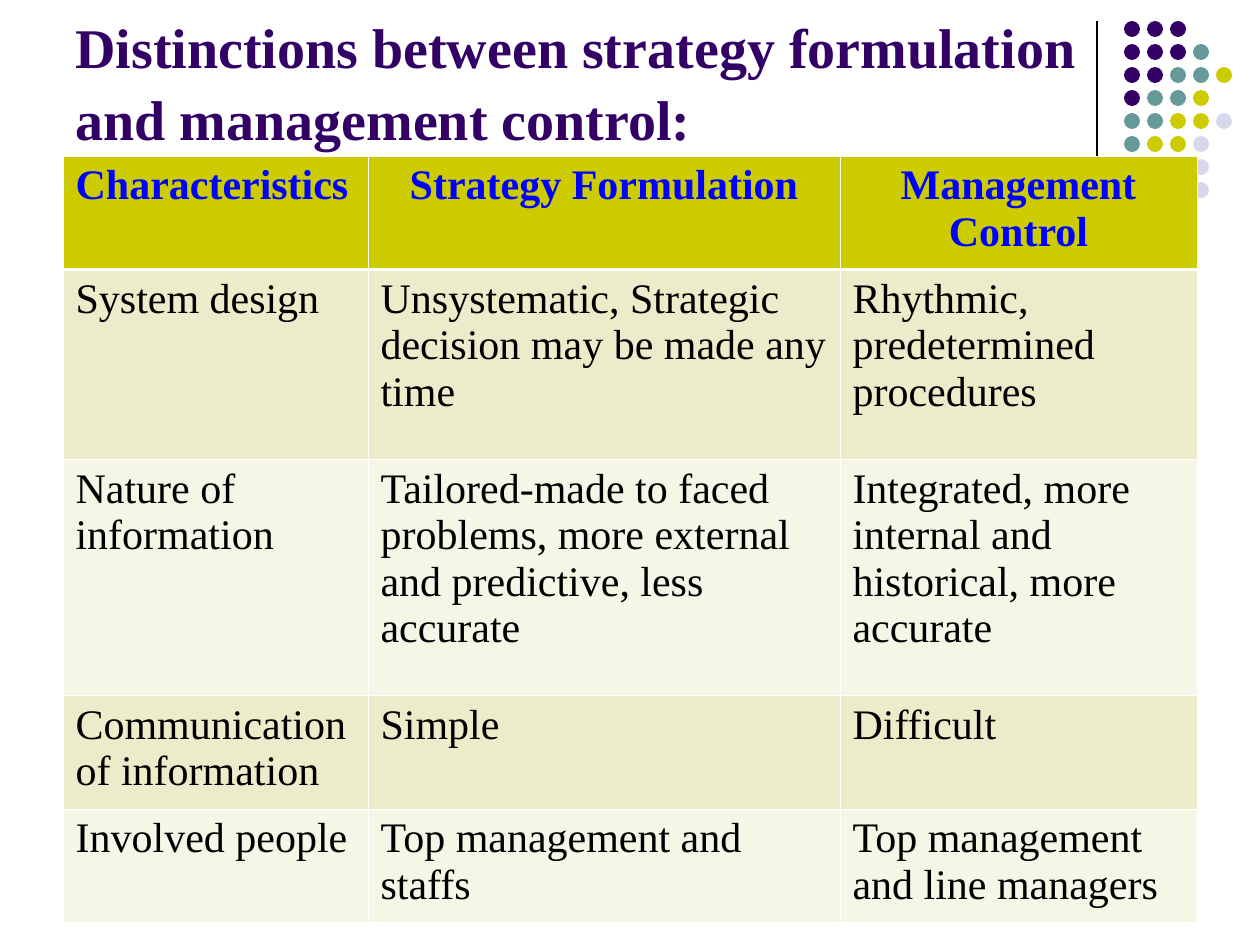
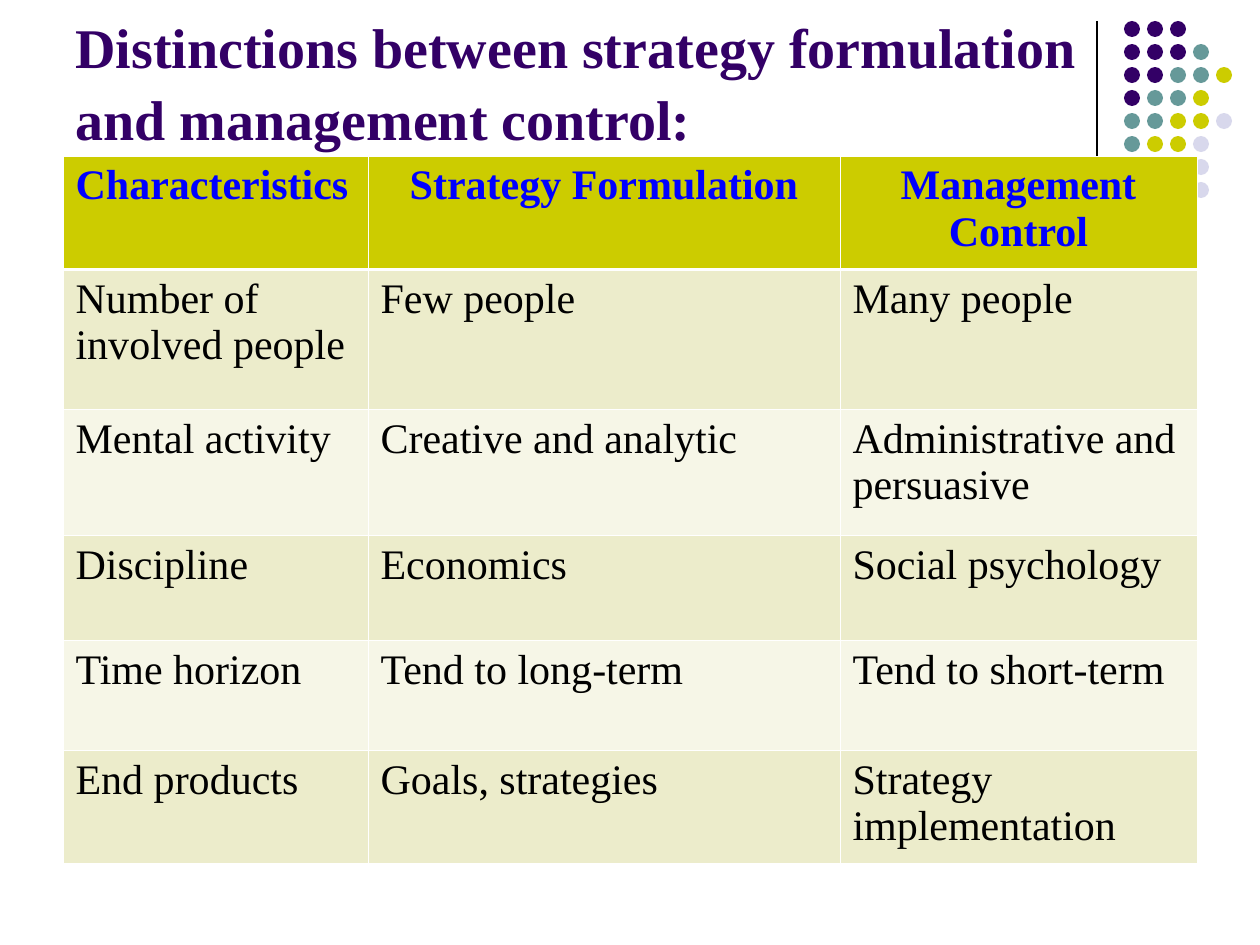
import pptx
import pptx.util
import pptx.dml.color
import pptx.enum.shapes
import pptx.enum.text
import pptx.oxml.ns
from lxml import etree

EMU_PER_PX = 914400 / 126
FONT = "Times New Roman"
COLOURS = {
    "purple": "330066",
    "teal": "669999",
    "olive": "CCCC00",
    "lavender": "D8D8EC",
    "heading": "0000FF",
    "body": "000000",
    "odd_row": "ECECCB",
    "even_row": "F6F6E7",
    "border": "FFFFFF",
}
TITLE = "Distinctions between strategy formulation and management control:"
HEADINGS = ("Characteristics", "Strategy Formulation", "Management Control")
COLUMN_WIDTHS = (305, 472, 357)
HEADER_HEIGHT = 113

DOT_COLOURS = {"P": "purple", "T": "teal", "O": "olive", "L": "lavender"}
DOT_ROWS = ("PPP", "PPPT", "PPTTO", "PTTO", "TTOOL", "TOOL", "OOLL", " L L")
DOT_PITCH = 23
DOT_SIZE = 16

# Each row: height, characteristic, strategy formulation, management control
DESIGN_AND_INFORMATION = (
    (190, "System design",
     "Unsystematic, Strategic decision may be made any time",
     "Rhythmic, predetermined procedures"),
    (236, "Nature of information",
     "Tailored-made to faced problems, more external and predictive, less accurate",
     "Integrated, more internal and historical, more accurate"),
    (113, "Communication of information", "Simple", "Difficult"),
    (113, "Involved people", "Top management and staffs",
     "Top management and line managers"),
)
PEOPLE_AND_RESULTS = (
    (140, "Number of involved people", "Few people", "Many people"),
    (126, "Mental activity", "Creative and analytic",
     "Administrative and persuasive"),
    (105, "Discipline", "Economics", "Social psychology"),
    (110, "Time horizon", "Tend to long-term", "Tend to short-term"),
    (113, "End products", "Goals, strategies", "Strategy implementation"),
)


def px(length):
    return pptx.util.Emu(round(length * EMU_PER_PX))


def rgb(name):
    return pptx.dml.color.RGBColor.from_string(COLOURS[name])


def style_text(paragraph, size, colour, bold):
    paragraph.font.name = FONT
    paragraph.font.size = pptx.util.Pt(size)
    paragraph.font.bold = bold
    paragraph.font.color.rgb = rgb(colour)


def add_divider(slide):
    divider = slide.shapes.add_connector(
        pptx.enum.shapes.MSO_CONNECTOR.STRAIGHT,
        px(1097), px(21), px(1097), px(231))
    divider.line.color.rgb = rgb("body")
    divider.line.width = pptx.util.Pt(0.75)
    properties = divider.element.find(pptx.oxml.ns.qn("p:spPr"))
    etree.SubElement(properties, pptx.oxml.ns.qn("a:effectLst"))


def add_dots(slide, left, top):
    dots = slide.shapes.add_group_shape()
    for row, codes in enumerate(DOT_ROWS):
        for column, code in enumerate(codes):
            if code == " ":
                continue
            dot = dots.shapes.add_shape(
                pptx.enum.shapes.MSO_SHAPE.OVAL,
                px(left + column * DOT_PITCH), px(top + row * DOT_PITCH),
                px(DOT_SIZE), px(DOT_SIZE))
            dot.shadow.inherit = False
            dot.fill.solid()
            dot.fill.fore_color.rgb = rgb(DOT_COLOURS[code])
            dot.line.fill.background()


def add_title(slide):
    frame = slide.shapes.add_textbox(px(63), 0, px(1040), px(158)).text_frame
    frame.word_wrap = True
    frame.vertical_anchor = pptx.enum.text.MSO_ANCHOR.BOTTOM
    heading = frame.paragraphs[0]
    heading.text = TITLE
    heading.line_spacing = 1.08
    style_text(heading, 32, "purple", True)


def add_border(cell, side, width):
    """Draw one side of a cell; call before the cell's fill is set."""
    properties = cell._tc.get_or_add_tcPr()
    border = etree.SubElement(
        properties, pptx.oxml.ns.qn(f"a:ln{side}"),
        w=str(pptx.util.Pt(width)))
    fill = etree.SubElement(border, pptx.oxml.ns.qn("a:solidFill"))
    etree.SubElement(
        fill, pptx.oxml.ns.qn("a:srgbClr"), val=COLOURS["border"])


def fill_cell(cell, text, row, column):
    is_heading = row == 0
    thick_side = {0: "B", 1: "T"}.get(row)
    for side in "LRTB":
        add_border(cell, side, 1.47 if side == thick_side else 0.45)
    cell.fill.solid()
    band = "odd_row" if row % 2 else "even_row"
    cell.fill.fore_color.rgb = rgb("olive" if is_heading else band)
    paragraph = cell.text_frame.paragraphs[0]
    paragraph.text = text
    if is_heading and column > 0:
        paragraph.alignment = pptx.enum.text.PP_ALIGN.CENTER
    style_text(paragraph, 24, "heading" if is_heading else "body", is_heading)


def add_comparison(slide, comparisons):
    rows = ((HEADER_HEIGHT, *HEADINGS), *comparisons)
    comparison = slide.shapes.add_table(
        len(rows), len(HEADINGS), px(63), px(156),
        px(sum(COLUMN_WIDTHS)), px(sum(row[0] for row in rows))).table
    for column, width in enumerate(COLUMN_WIDTHS):
        comparison.columns[column].width = px(width)
    for row, (height, *texts) in enumerate(rows):
        comparison.rows[row].height = px(height)
        for column, text in enumerate(texts):
            fill_cell(comparison.cell(row, column), text, row, column)


def main():
    deck = pptx.Presentation()
    deck.slide_width, deck.slide_height = px(1260), px(945)
    for comparisons in (DESIGN_AND_INFORMATION, PEOPLE_AND_RESULTS):
        slide = deck.slides.add_slide(deck.slide_layouts[6])
        add_divider(slide)
        add_dots(slide, 1124, 21)
        add_title(slide)
        add_comparison(slide, comparisons)
    deck.save("out.pptx")


if __name__ == "__main__":
    main()
